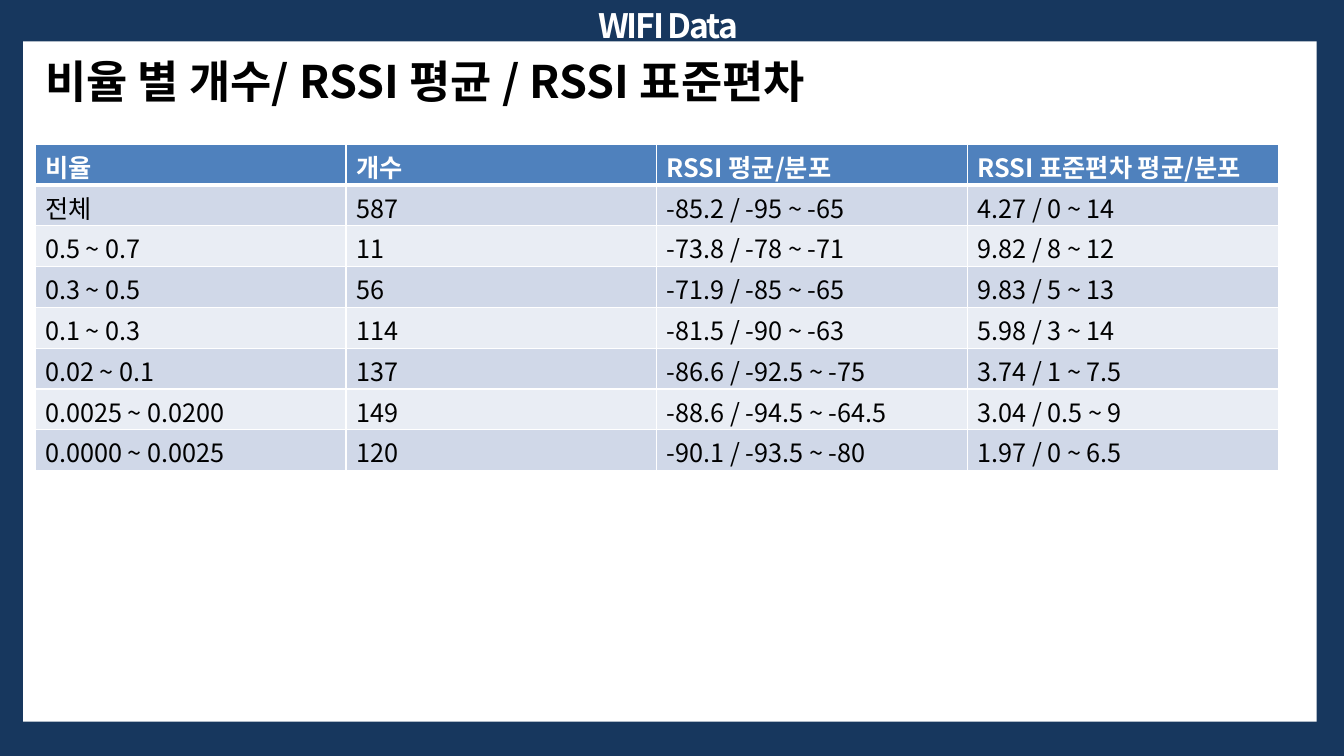
import pptx
import pptx.dml.color
import pptx.enum.shapes
import pptx.enum.text
import pptx.oxml
import pptx.oxml.ns
import pptx.util

Inches = pptx.util.Inches
RGBColor = pptx.dml.color.RGBColor
Align = pptx.enum.text.PP_ALIGN

NAVY = RGBColor(0x17, 0x37, 0x5E)
WHITE = RGBColor(0xFF, 0xFF, 0xFF)
BLACK = RGBColor(0x00, 0x00, 0x00)
BLUE = RGBColor(0x4F, 0x81, 0xBD)
BAND_DARK = RGBColor(0xD0, 0xD8, 0xE8)
BAND_LIGHT = RGBColor(0xE9, 0xED, 0xF4)

RSSI_ROWS = [
    ("비율", "개수", "RSSI 평균/분포", "RSSI 표준편차 평균/분포"),
    ("전체", "587", "-85.2 / -95 ~ -65", "4.27 / 0 ~ 14"),
    ("0.5 ~ 0.7", "11", "-73.8 / -78 ~ -71", "9.82 / 8 ~ 12"),
    ("0.3 ~ 0.5", "56", "-71.9 / -85 ~ -65", "9.83 / 5 ~ 13"),
    ("0.1 ~ 0.3", "114", "-81.5 / -90 ~ -63", "5.98 / 3 ~ 14"),
    ("0.02 ~ 0.1", "137", "-86.6 / -92.5 ~ -75", "3.74 / 1 ~ 7.5"),
    ("0.0025 ~ 0.0200", "149", "-88.6 / -94.5 ~ -64.5", "3.04 / 0.5 ~ 9"),
    ("0.0000 ~ 0.0025", "120", "-90.1 / -93.5 ~ -80", "1.97 / 0 ~ 6.5"),
]


class Page:
    """Holds the style and the current slide."""

    font_name = "Noto Sans CJK KR"

    def __init__(self, slide, background):
        self.slide = slide
        slide.background.fill.solid()
        slide.background.fill.fore_color.rgb = background

    def set_text(self, frame, text, size, color, bold, spacing=0):
        frame.text = text
        para = frame.paragraphs[0]
        para.alignment = Align.LEFT
        span = para.runs[0]
        span.font.name = self.font_name
        span.font.size = pptx.util.Pt(size)
        span.font.bold = bold
        span.font.color.rgb = color
        properties = span.font._element
        east_asian = pptx.oxml.parse_xml(
            f'<a:ea {pptx.oxml.ns.nsdecls("a")} typeface="{self.font_name}"/>')
        properties.find(pptx.oxml.ns.qn("a:latin")).addnext(east_asian)
        if spacing:
            properties.set("spc", str(round(spacing * 100)))
        return para

    def panel(self, left, top, width, height, color):
        box = self.slide.shapes.add_shape(
            pptx.enum.shapes.MSO_SHAPE.RECTANGLE,
            Inches(left), Inches(top), Inches(width), Inches(height))
        box.shadow.inherit = False
        box.fill.solid()
        box.fill.fore_color.rgb = color
        box.line.fill.background()
        return box

    def label(self, left, top, width, height):
        return self.slide.shapes.add_textbox(
            Inches(left), Inches(top), Inches(width), Inches(height))

    def heading(self, box, text, size, color, align, spacing=0):
        frame = box.text_frame
        frame.word_wrap = True
        frame.vertical_anchor = pptx.enum.text.MSO_ANCHOR.MIDDLE
        frame.margin_top = frame.margin_bottom = 0
        para = self.set_text(frame, text, size, color, True, spacing)
        para.alignment = align
        para.line_spacing = 0.9

    def borders(self, cell, color, bottom_width):
        properties = cell._tc.get_or_add_tcPr()
        widths = {"lnL": 1, "lnR": 1, "lnT": 1, "lnB": bottom_width}
        for index, (side, width) in enumerate(widths.items()):
            properties.insert(index, pptx.oxml.parse_xml(
                f'<a:{side} {pptx.oxml.ns.nsdecls("a")} w="{pptx.util.Pt(width)}">'
                f'<a:solidFill><a:srgbClr val="{color}"/></a:solidFill></a:{side}>'))

    def table(self, left, top, width, height, rows):
        grid = self.slide.shapes.add_table(
            len(rows), len(rows[0]),
            Inches(left), Inches(top), Inches(width), Inches(height)).table
        for row_index, texts in enumerate(rows):
            header = row_index == 0
            band = BAND_DARK if row_index % 2 else BAND_LIGHT
            for column_index, text in enumerate(texts):
                cell = grid.cell(row_index, column_index)
                cell.margin_top, cell.margin_bottom = Inches(0.04), 0
                cell.fill.solid()
                cell.fill.fore_color.rgb = BLUE if header else band
                self.set_text(cell.text_frame, text, 18,
                              WHITE if header else BLACK, header)
                self.borders(cell, WHITE, 3 if header else 1)


def main():
    deck = pptx.Presentation()
    deck.slide_width, deck.slide_height = Inches(13.33), Inches(7.5)
    page = Page(deck.slides.add_slide(deck.slide_layouts[6]), NAVY)

    # White page area and the topic above it
    page.panel(0.23, 0.41, 12.83, 6.75, WHITE)
    topic = page.label(4.3, 0.02, 4.65, 0.5)
    page.heading(topic, "WIFI Data", 24, WHITE, Align.CENTER, spacing=-1.5)

    # Title
    title = page.panel(0.35, 0.51, 12.58, 0.64, WHITE)
    page.heading(title, "비율 별 개수/ RSSI 평균 / RSSI 표준편차", 32, BLACK, Align.LEFT)

    # Signal strength by ratio
    page.table(0.35, 1.43, 12.33, 3.24, RSSI_ROWS)

    deck.save("out.pptx")


if __name__ == "__main__":
    main()
